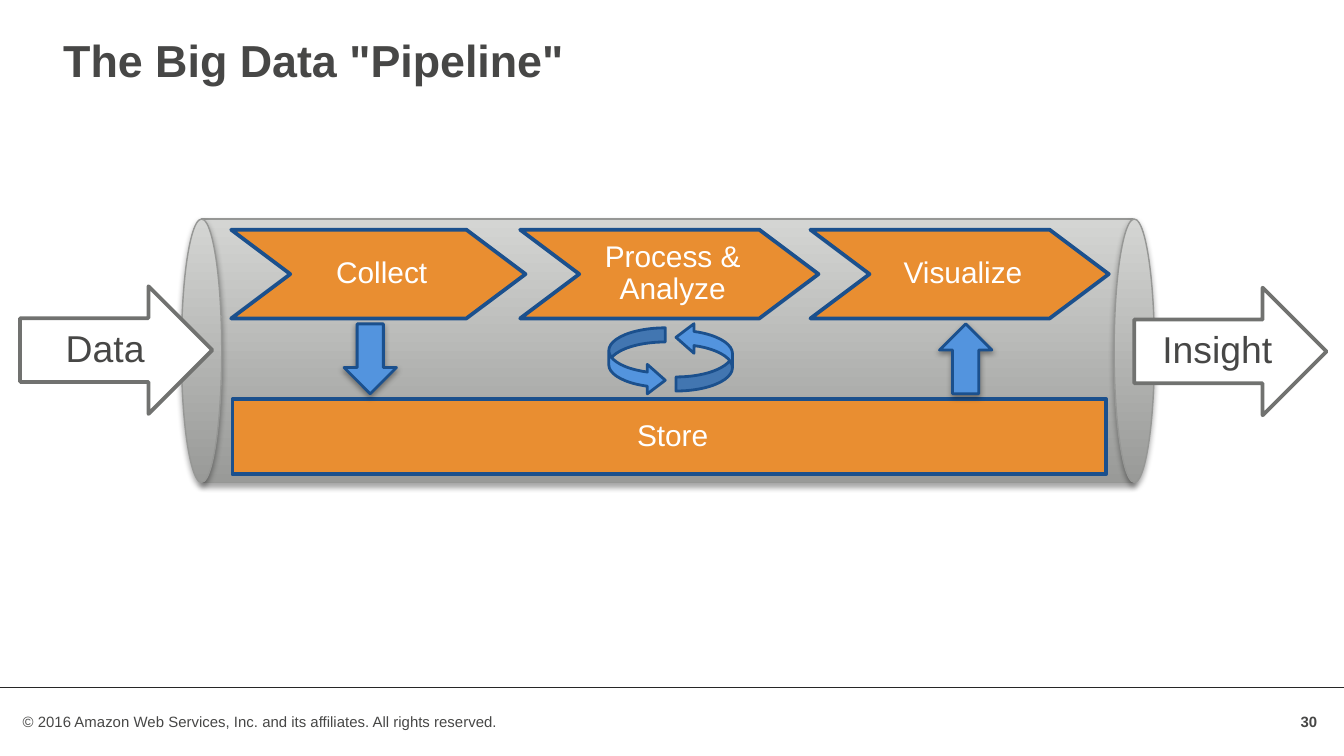
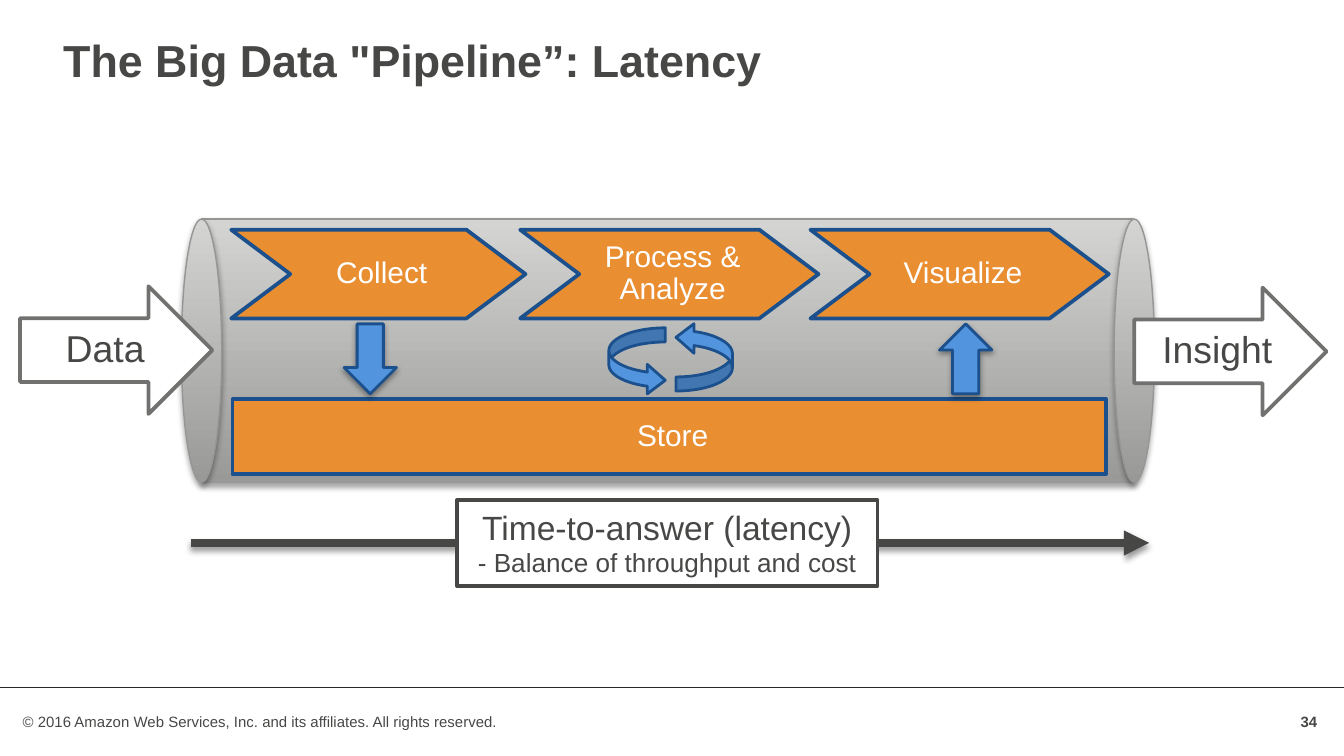
import pptx
import pptx.util
from lxml import etree
from pptx.dml.color import RGBColor
from pptx.enum.shapes import MSO_CONNECTOR, MSO_SHAPE
from pptx.enum.text import MSO_ANCHOR, MSO_AUTO_SIZE, PP_ALIGN
from pptx.oxml.ns import qn
from pptx.util import Inches

FONT = "Arial"
WHITE = RGBColor(0xFF, 0xFF, 0xFF)
TEXT_GREY = RGBColor(0x47, 0x47, 0x46)
RULE_GREY = RGBColor(0x27, 0x27, 0x27)
ARROW_GREY = RGBColor(0x71, 0x72, 0x70)
PIPE_LINE = RGBColor(0x96, 0x97, 0x95)
PIPE_DARK = RGBColor(0x99, 0x9A, 0x98)
PIPE_LIGHT = RGBColor(0xD4, 0xD5, 0xD3)
ORANGE = RGBColor(0xE9, 0x8E, 0x31)
BLUE = RGBColor(0x53, 0x94, 0xDE)
NAVY = RGBColor(0x1B, 0x50, 0x8D)

COPYRIGHT = "© 2016 Amazon Web Services, Inc. and its affiliates. All rights reserved."
SLIDES = [
    {"title": 'The Big Data "Pipeline"', "number": "30"},
    {"title": 'The Big Data "Pipeline”: Latency', "number": "34",
     "latency": [("Time-to-answer (latency)", 18),
                 ("- Balance of throughput and cost", 14)]},
]

# Boxes are left, top, width, height in inches.
SLIDE_WIDTH = 10
PIPE_TOP, PIPE_HEIGHT = 1.63, 1.96
PIPE_PARTS = [(MSO_SHAPE.RECTANGLE, 1.5, 6.93),
              (MSO_SHAPE.OVAL, 1.35, 0.3),
              (MSO_SHAPE.OVAL, 8.29, 0.3)]
STAGES = [("Collect", 1.72, 2.19),
          ("Process &\vAnalyze", 3.87, 2.22),
          ("Visualize", 6.03, 2.22)]
STAGE_TOP, STAGE_HEIGHT, STAGE_TIP = 1.71, 0.66, 0.44
STORE_BOX = (1.73, 2.97, 6.5, 0.56)
ENDS = [("Data", (0.15, 2.13, 1.43, 0.95), (0.39, 2.37, 0.79, 0.44)),
        ("Insight", (8.44, 2.14, 1.43, 0.95), (8.55, 2.38, 1.03, 0.44))]
FLOWS = [(MSO_SHAPE.DOWN_ARROW, 2.56), (MSO_SHAPE.UP_ARROW, 6.99)]
CYCLE = [((4.53, 2.44, 0.42, 0.5), False), ((5.03, 2.4, 0.42, 0.51), True)]
CYCLE_ADJUSTMENTS = (0.25, 0.523, 0.318)
LATENCY_BOX = (3.4, 3.72, 3.13, 0.64)
LATENCY_LINE = (1.42, 4.04, 8.55, 4.04)


def inches(values):
    return [Inches(value) for value in values]


def write_text(shape, text, size=16, color=TEXT_GREY, bold=False,
               align=PP_ALIGN.LEFT, anchor=MSO_ANCHOR.TOP, wrap=True,
               insets=(0.1, 0.05, 0.1, 0.05), line_spacing=None):
    """Fill a shape with one text, or with a list of (text, size) paragraphs."""
    frame = shape.text_frame
    frame.auto_size = MSO_AUTO_SIZE.NONE
    frame.word_wrap = wrap
    frame.vertical_anchor = anchor
    (frame.margin_left, frame.margin_top,
     frame.margin_right, frame.margin_bottom) = inches(insets)
    paragraphs = [(text, size)] if isinstance(text, str) else text
    for index, (words, points) in enumerate(paragraphs):
        paragraph = frame.add_paragraph() if index else frame.paragraphs[0]
        paragraph.text = words
        paragraph.alignment = align
        if line_spacing:
            paragraph.line_spacing = line_spacing
        for run in paragraph.runs:
            run.font.name = FONT
            run.font.size = pptx.util.Pt(points)
            run.font.bold = bold
            run.font.color.rgb = color


def add_label(slide, text, box, **text_format):
    write_text(slide.shapes.add_textbox(*inches(box)), text, **text_format)


def add_shadow(shape, opacity, distance):
    effects = shape._element.spPr.find(qn("a:effectLst"))
    shadow = etree.SubElement(
        effects, qn("a:outerShdw"), blurRad=str(pptx.util.Pt(3.1)),
        dist=str(pptx.util.Pt(distance)), dir="5400000", rotWithShape="0")
    color = etree.SubElement(shadow, qn("a:srgbClr"), val="000000")
    etree.SubElement(color, qn("a:alpha"), val=str(opacity * 1000))


def style_shape(shape, fill, line, width):
    shape.shadow.inherit = False
    if fill is not None:
        shape.fill.solid()
        shape.fill.fore_color.rgb = fill
    shape.line.color.rgb = line
    shape.line.width = pptx.util.Pt(width)


def add_styled(shapes, preset, box, fill, line, width):
    shape = shapes.add_shape(preset, *inches(box))
    style_shape(shape, fill, line, width)
    return shape


def add_line(slide, ends, color, width):
    line = slide.shapes.add_connector(MSO_CONNECTOR.STRAIGHT, *inches(ends))
    line.line.color.rgb = color
    line.line.width = pptx.util.Pt(width)
    etree.SubElement(line._element.spPr, qn("a:effectLst"))
    return line


def add_frame(slide, title, number):
    """Set the title, the footer rule, the copyright line and the page number."""
    heading = slide.shapes.title
    heading.left, heading.top, heading.width, heading.height = inches(
        (0.37, 0.19, 9.25, 0.94))
    write_text(heading, title, size=24, bold=True)
    add_line(slide, (0, 5.11, SLIDE_WIDTH, 5.11), RULE_GREY, 0.25)
    add_label(slide, COPYRIGHT, (0.07, 5.25, 5.51, 0.24), size=8)
    add_label(slide, number, (9.55, 5.22, 0.35, 0.3), size=8, bold=True,
              align=PP_ALIGN.RIGHT, anchor=MSO_ANCHOR.MIDDLE)


def add_pipe(slide):
    pipe = slide.shapes.add_group_shape()
    for preset, left, width in PIPE_PARTS:
        part = add_styled(pipe.shapes, preset,
                          (left, PIPE_TOP, width, PIPE_HEIGHT),
                          None, PIPE_LINE, 0.75)
        part.fill.gradient()
        part.fill.gradient_angle = 90
        colors = (PIPE_DARK, PIPE_LIGHT)
        for position, stop in enumerate(part.fill.gradient_stops):
            stop.position = position
            stop.color.rgb = colors[position]
        add_shadow(part, 35, 1.8)


def add_chevron(slide, left, width):
    right, bottom = left + width, STAGE_TOP + STAGE_HEIGHT
    middle = STAGE_TOP + STAGE_HEIGHT / 2
    outline = [(right - STAGE_TIP, STAGE_TOP), (right, middle),
               (right - STAGE_TIP, bottom), (left, bottom),
               (left + STAGE_TIP, middle)]
    builder = slide.shapes.build_freeform(Inches(left), Inches(STAGE_TOP))
    builder.add_line_segments([inches(point) for point in outline], close=True)
    chevron = builder.convert_to_shape()
    style_shape(chevron, ORANGE, NAVY, 2)
    return chevron


def add_stages(slide):
    blocks = [(add_chevron(slide, left, width), name)
              for name, left, width in STAGES]
    store = add_styled(slide.shapes, MSO_SHAPE.RECTANGLE, STORE_BOX,
                       ORANGE, NAVY, 2)
    for block, name in blocks + [(store, "Store")]:
        write_text(block, name, color=WHITE, align=PP_ALIGN.CENTER,
                   anchor=MSO_ANCHOR.MIDDLE, insets=(0.4, 0, 0.35, 0),
                   line_spacing=0.9)


def add_arrows(slide):
    for name, arrow_box, label_box in ENDS:
        add_styled(slide.shapes, MSO_SHAPE.RIGHT_ARROW, arrow_box,
                   WHITE, ARROW_GREY, 2)
        add_label(slide, name, label_box, size=20, wrap=False)
    for preset, left in FLOWS:
        flow = add_styled(slide.shapes, preset, (left, 2.41, 0.39, 0.52),
                          BLUE, NAVY, 1.5)
        add_shadow(flow, 38, 1.6)
    for box, flipped in CYCLE:
        arrow = add_styled(slide.shapes, MSO_SHAPE.CURVED_RIGHT_ARROW, box,
                           BLUE, NAVY, 1.5)
        for index, value in enumerate(CYCLE_ADJUSTMENTS):
            arrow.adjustments[index] = value
        if flipped:
            for direction in ("flipH", "flipV"):
                arrow._element.spPr.xfrm.set(direction, "1")


def add_latency(slide, paragraphs):
    arrow = add_line(slide, LATENCY_LINE, TEXT_GREY, 4.5)
    etree.SubElement(arrow._element.spPr.find(qn("a:ln")), qn("a:tailEnd"),
                     type="triangle")
    add_shadow(arrow, 38, 1.6)
    box = add_styled(slide.shapes, MSO_SHAPE.RECTANGLE, LATENCY_BOX,
                     WHITE, TEXT_GREY, 2)
    write_text(box, paragraphs, align=PP_ALIGN.CENTER)


def main():
    presentation = pptx.Presentation()
    presentation.slide_width = Inches(SLIDE_WIDTH)
    presentation.slide_height = Inches(SLIDE_WIDTH * 9 / 16)
    title_only = presentation.slide_layouts[5]
    for content in SLIDES:
        slide = presentation.slides.add_slide(title_only)
        add_frame(slide, content["title"], content["number"])
        add_pipe(slide)
        add_stages(slide)
        add_arrows(slide)
        if "latency" in content:
            add_latency(slide, content["latency"])
    presentation.save("out.pptx")


if __name__ == "__main__":
    main()
